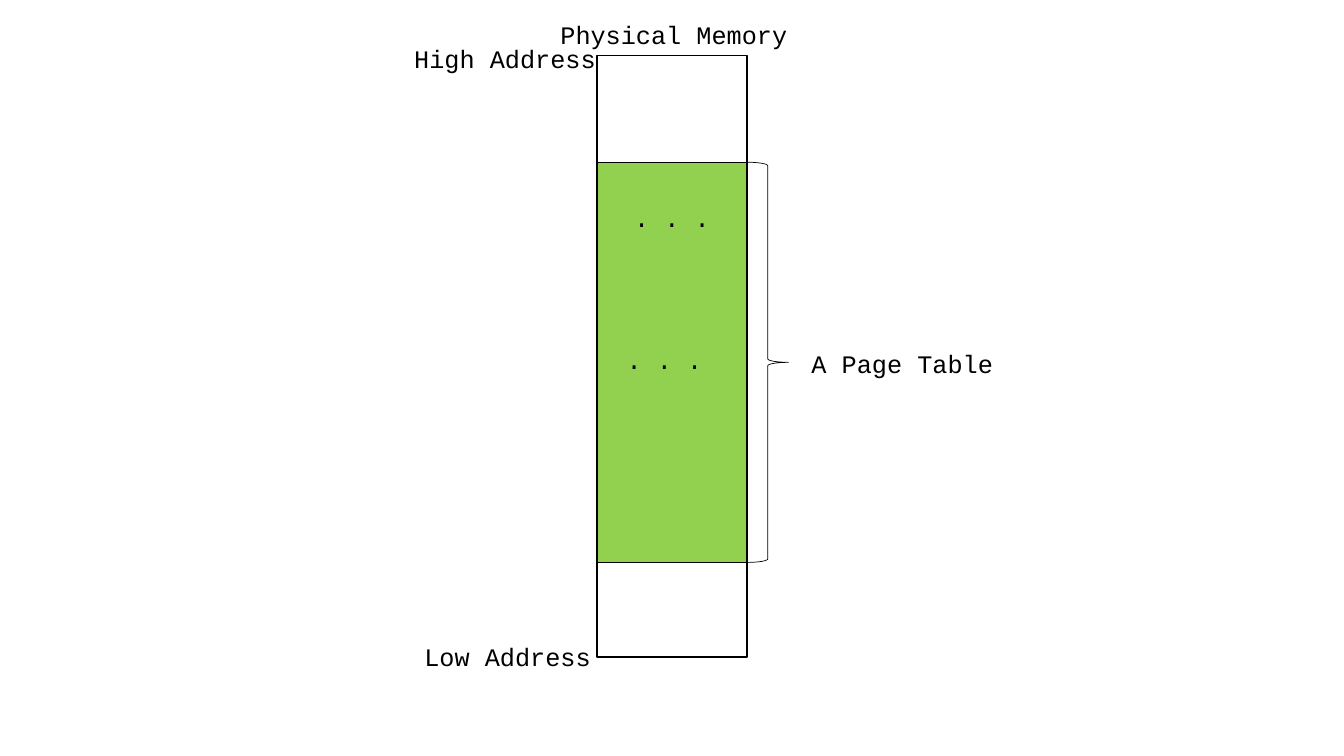
"""Build a slide showing a page table laid out in physical memory."""
from pptx import Presentation
from pptx.dml.color import RGBColor
from pptx.enum import shapes, text
from pptx.util import Inches, Pt

COLORS = {"ink": "000000", "memory": "FFFFFF", "table": "92D050"}
MEMORY_LEFT, MEMORY_WIDTH = 5.92, 1.49
TABLE_TOP, TABLE_HEIGHT = 1.61, 3.97


def color(name):
    return RGBColor.from_string(COLORS[name])


def add_outline(slide, kind, left, top, width, height, fill=None, weight=1):
    outline = slide.shapes.add_shape(
        kind, Inches(left), Inches(top), Inches(width), Inches(height))
    outline.shadow.inherit = False
    if fill:
        outline.fill.solid()
        outline.fill.fore_color.rgb = color(fill)
    else:
        outline.fill.background()
    outline.line.color.rgb = color("ink")
    outline.line.width = Pt(weight)


def add_label(slide, wording, left, top, width, align=text.PP_ALIGN.LEFT,
              size=18, font="Courier New"):
    label = slide.shapes.add_textbox(
        Inches(left), Inches(top), Inches(width), Inches(0.4))
    frame = label.text_frame
    frame.word_wrap = True
    frame.auto_size = text.MSO_AUTO_SIZE.SHAPE_TO_FIT_TEXT
    paragraph = frame.paragraphs[0]
    paragraph.alignment = align
    run = paragraph.add_run()
    run.text = wording
    run.font.name = font
    run.font.size = Pt(size)
    run.font.color.rgb = color("ink")


def main():
    deck = Presentation()
    deck.slide_width, deck.slide_height = Inches(13.33), Inches(7.5)
    slide = deck.slides.add_slide(deck.slide_layouts[6])
    kinds = shapes.MSO_SHAPE

    add_outline(slide, kinds.RECTANGLE, MEMORY_LEFT, 0.55,
                MEMORY_WIDTH, 5.97, fill="memory")
    add_label(slide, "Physical Memory", 5.46, 0.14, 3.9)
    add_label(slide, "Low Address", 4.11, 6.31, 1.91)
    add_label(slide, "High Address", 4.01, 0.38, 2.01)

    add_outline(slide, kinds.RIGHT_BRACE, MEMORY_LEFT + MEMORY_WIDTH,
                TABLE_TOP, 0.41, TABLE_HEIGHT, weight=0.5)
    add_label(slide, "A Page Table", 7.95, 3.41, 2.12)
    add_outline(slide, kinds.RECTANGLE, MEMORY_LEFT, TABLE_TOP,
                MEMORY_WIDTH, TABLE_HEIGHT, fill="table")
    for dots, top in ((". . . ", 3.37), (". . .", 1.96)):
        add_label(slide, dots, MEMORY_LEFT + 0.1, top, MEMORY_WIDTH - 0.2,
                  align=text.PP_ALIGN.CENTER)

    deck.save("out.pptx")


if __name__ == "__main__":
    main()
